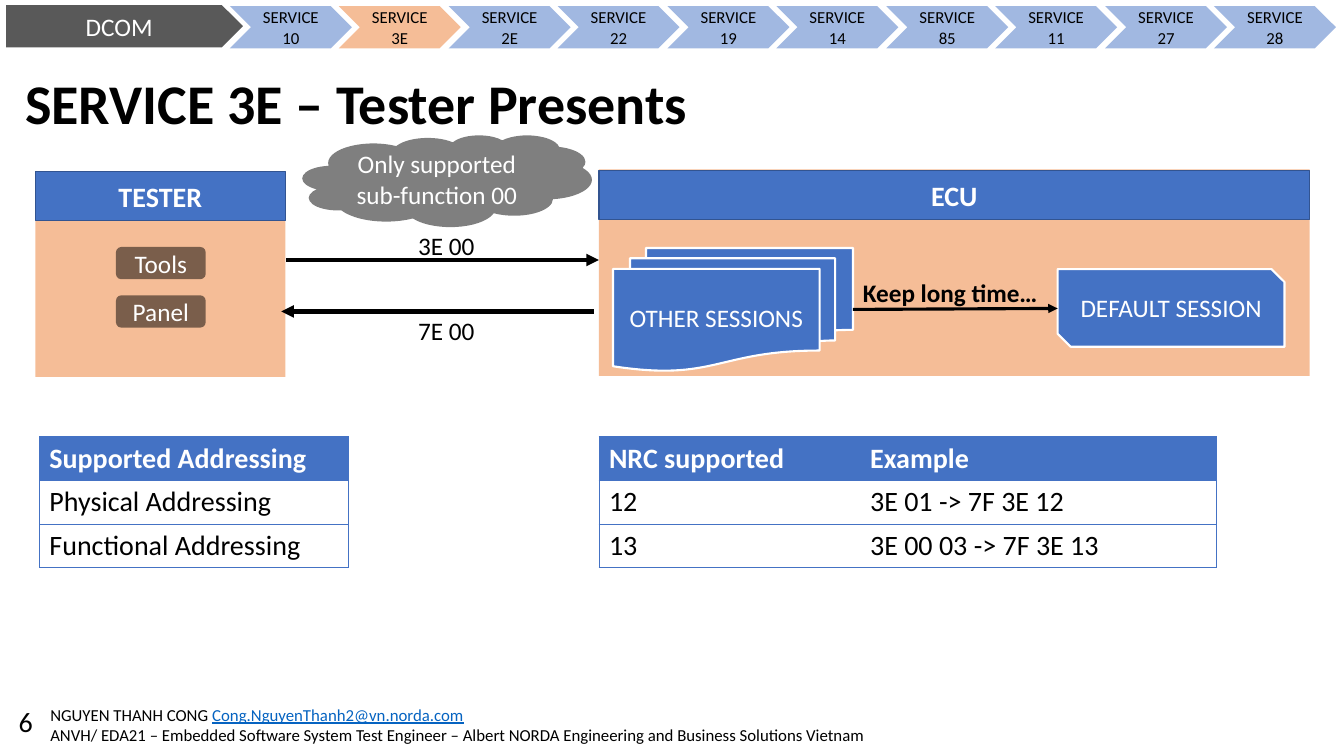
from lxml import etree
from pptx import Presentation
from pptx.dml.color import RGBColor
from pptx.enum.shapes import MSO_CONNECTOR, MSO_SHAPE
from pptx.enum.text import MSO_ANCHOR, MSO_AUTO_SIZE, PP_ALIGN
from pptx.oxml.ns import qn
from pptx.util import Pt

PX = 9144  # 100 px to the inch
BLACK = RGBColor(0x00, 0x00, 0x00)
WHITE = RGBColor(0xFF, 0xFF, 0xFF)
BLUE = RGBColor(0x44, 0x72, 0xC4)
DARK_BLUE = RGBColor(0x32, 0x54, 0x91)
ORANGE = RGBColor(0xED, 0x7D, 0x31)
GRAY = RGBColor(0x59, 0x59, 0x59)
LINK = RGBColor(0x05, 0x63, 0xC1)
LEFT, CENTER = PP_ALIGN.LEFT, PP_ALIGN.CENTER
MIDDLE, BOTTOM = MSO_ANCHOR.MIDDLE, MSO_ANCHOR.BOTTOM
RECT, ROUND = MSO_SHAPE.RECTANGLE, MSO_SHAPE.ROUNDED_RECTANGLE
CHEVRON, PENTAGON = MSO_SHAPE.CHEVRON, MSO_SHAPE.PENTAGON
CLOUD, SNIP = MSO_SHAPE.CLOUD, MSO_SHAPE.SNIP_2_DIAG_RECTANGLE
DOCUMENTS = MSO_SHAPE.FLOWCHART_MULTIDOCUMENT
STRAIGHT = MSO_CONNECTOR.STRAIGHT

prs = Presentation()
prs.slide_width, prs.slide_height = 1333 * PX, 750 * PX
slide = prs.slides.add_slide(prs.slide_layouts[5])
shapes = slide.shapes


def add_run(p, text, size, color=BLACK, **extra):
    r = p.add_run()
    r.text = text
    fmt = {"name": "Calibri", "size": Pt(size), "bold": False, **extra}
    for key, value in fmt.items():
        setattr(r.font, key, value)
    r.font.color.rgb = color


def add_block(kind, box, fill, text="", size=18, color=WHITE, bold=False,
              half_clear=False, line=None, width=1):
    """Add a filled preset shape with centred text; box is in px."""
    s = shapes.add_shape(kind, *[v * PX for v in box])
    s.shadow.inherit = False
    s.fill.solid()
    s.fill.fore_color.rgb = fill
    if half_clear:
        rgb = s.fill._xPr.find(".//" + qn("a:srgbClr"))
        etree.SubElement(rgb, qn("a:alpha"), val="50000")
    if line is None:
        s.line.fill.background()
    else:
        s.line.color.rgb = line
        s.line.width = Pt(width)
    if text:
        tf = s.text_frame
        tf.word_wrap = True
        tf.vertical_anchor = MIDDLE
        p = tf.paragraphs[0]
        p.alignment = CENTER
        add_run(p, text, size, color, bold=bold)
    return s


# Title
title = shapes.title
title.left, title.top, title.width, title.height = [v * PX for v in (15, 49, 772, 92)]
tf = title.text_frame
tf.word_wrap = True
tf.auto_size = MSO_AUTO_SIZE.NONE
tf.vertical_anchor = BOTTOM
p = tf.paragraphs[0]
p.alignment = LEFT
p.line_spacing = 0.9
add_run(p, "SERVICE 3E – Tester Presents", 40, bold=True)

# Tester and ECU panels
add_block(RECT, (594, 168, 705, 205), ORANGE, half_clear=True)
sessions = add_block(DOCUMENTS, (608, 246, 238, 122), BLUE, "OTHER SESSIONS",
                     line=WHITE, width=1.5)
add_block(SNIP, (1049, 267, 225, 77), BLUE, "DEFAULT SESSION", line=WHITE, width=1.5)
add_block(RECT, (594, 169, 705, 49), BLUE, "ECU", 20, bold=True, line=DARK_BLUE)
add_block(RECT, (35, 170, 248, 204), ORANGE, half_clear=True)
add_block(RECT, (35, 170, 248, 49), BLUE, "TESTER", 20, bold=True, line=DARK_BLUE)
for top, label in ((245, "Tools"), (293, "Panel")):
    add_block(ROUND, (115, top, 89, 32), BLACK, label, half_clear=True)

# Arrows
arrows = [
    ((846, 307, 1049, 306), 2.25, sessions),
    ((284, 258, 594, 258), 3, None),
    ((589, 309, 279, 309), 3, None),
]
for ends, width, start in arrows:
    c = shapes.add_connector(STRAIGHT, *[v * PX for v in ends])
    if start is not None:
        c.begin_connect(start, 3)
    c.line.color.rgb = BLACK
    c.line.width = Pt(width)
    etree.SubElement(c.line._get_or_add_ln(), qn("a:tailEnd"), type="triangle")
    etree.SubElement(c._element.spPr, qn("a:effectLst"))

# Arrow labels, page number and footer
texts = [
    ((846, 270, 203, 40), LEFT, [[("Keep long time…", 18, BLACK, {"bold": True})]]),
    ((405, 224, 103, 40), LEFT, [[("3E 00", 18, BLACK, {})]]),
    ((405, 308, 77, 40), LEFT, [[("7E 00", 18, BLACK, {})]]),
    ((0, 694, 51, 40), CENTER, [[("6", 20, BLACK, {})]]),
    ((40, 694, 859, 40), LEFT, [
        [("NGUYEN THANH CONG ", 12, BLACK, {}),
         ("Cong.NguyenThanh2@vn.norda.com", 12, LINK, {"underline": True})],
        [("ANVH/ EDA21 – Embedded Software System Test Engineer – "
          "Albert NORDA Engineering and Business Solutions Vietnam", 12, BLACK, {})],
    ]),
]
for box, align, lines in texts:
    tf = shapes.add_textbox(*[v * PX for v in box]).text_frame
    tf.word_wrap = True
    for i, runs in enumerate(lines):
        p = tf.add_paragraph() if i else tf.paragraphs[0]
        p.alignment = align
        for text, size, color, extra in runs:
            add_run(p, text, size, color, **extra)

# Tables
tables = [
    (594, (259, 353), [("NRC supported", "Example"),
                       ("12", "3E 01 -> 7F 3E 12"),
                       ("13", "3E 00 03 -> 7F 3E 13")]),
    (39, (306,), [("Supported Addressing",),
                  ("Physical Addressing",),
                  ("Functional Addressing",)]),
]
for left, widths, rows in tables:
    last = len(widths) - 1
    table = shapes.add_table(len(rows), len(widths), left * PX, 433 * PX,
                             sum(widths) * PX, 130 * PX).table
    table.horz_banding = False
    for col, width in zip(table.columns, widths):
        col.width = width * PX
    for i, row in enumerate(rows):
        for j, text in enumerate(row):
            cell = table.cell(i, j)
            tcPr = cell._tc.get_or_add_tcPr()
            drawn = {"lnL": j == 0, "lnR": j == last, "lnT": True, "lnB": True}
            for side, shown in drawn.items():
                ln = etree.SubElement(tcPr, qn("a:" + side), w=str(Pt(0.5)))
                if shown:
                    solid = etree.SubElement(ln, qn("a:solidFill"))
                    etree.SubElement(solid, qn("a:srgbClr"), val=str(BLUE))
                else:
                    etree.SubElement(ln, qn("a:noFill"))
            if i == 0:
                cell.fill.solid()
                cell.fill.fore_color.rgb = BLUE
            else:
                cell.fill.background()
            add_run(cell.text_frame.paragraphs[0], text, 20,
                    BLACK if i else WHITE, bold=i == 0)

add_block(CLOUD, (300, 134, 287, 91), BLACK, "Only supported sub-function 00",
          half_clear=True)

# Navigation bar
add_block(PENTAGON, (6, 5, 235, 42), GRAY, "DCOM")
services = ("10", "3E", "2E", "22", "19", "14", "85", "11", "27", "28")
for i, service in enumerate(services):
    add_block(CHEVRON, (228 + i * 217 // 2, 6, 121, 42),
              ORANGE if service == "3E" else BLUE,
              "SERVICE " + service, 12, BLACK, half_clear=True)

prs.save("out.pptx")
